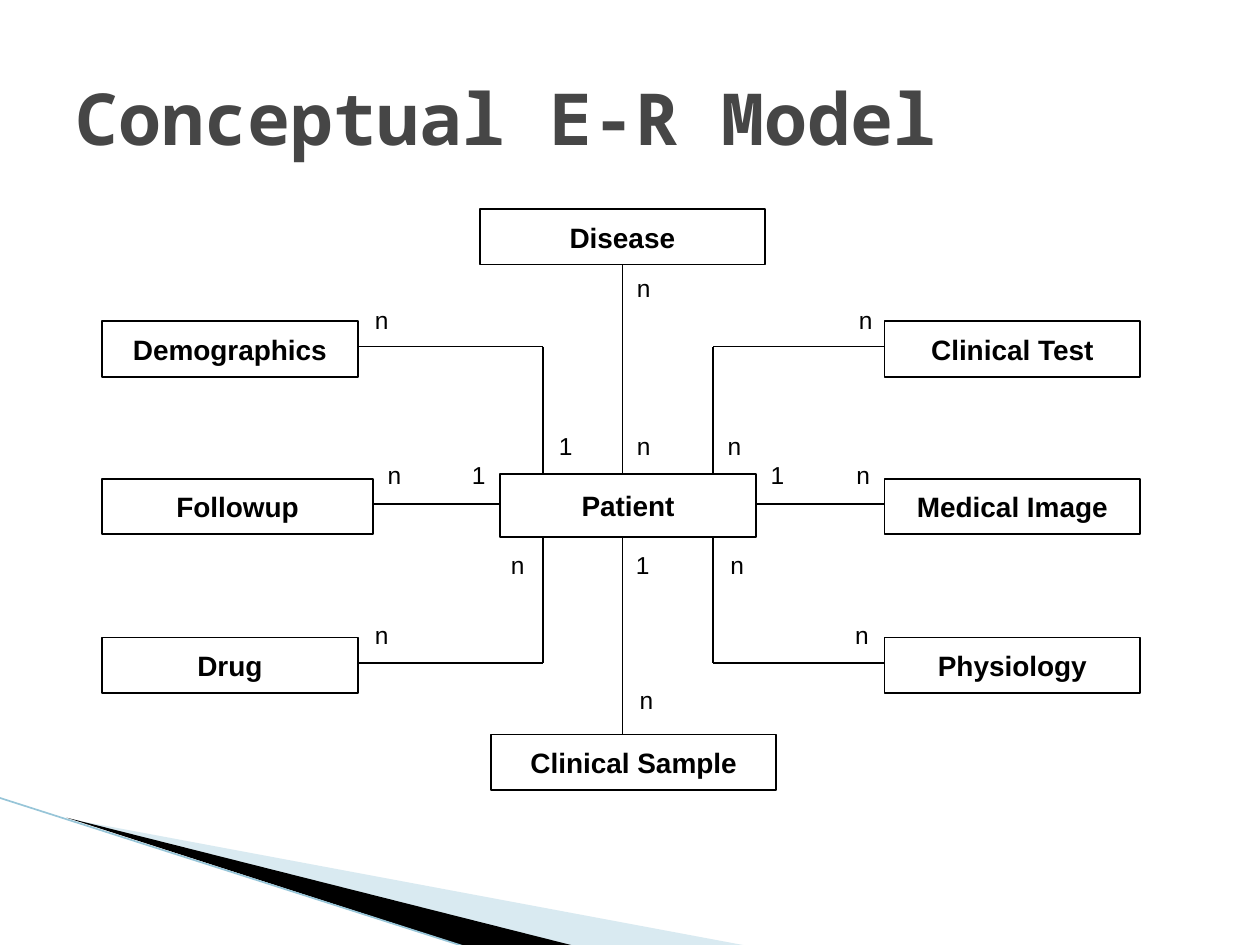
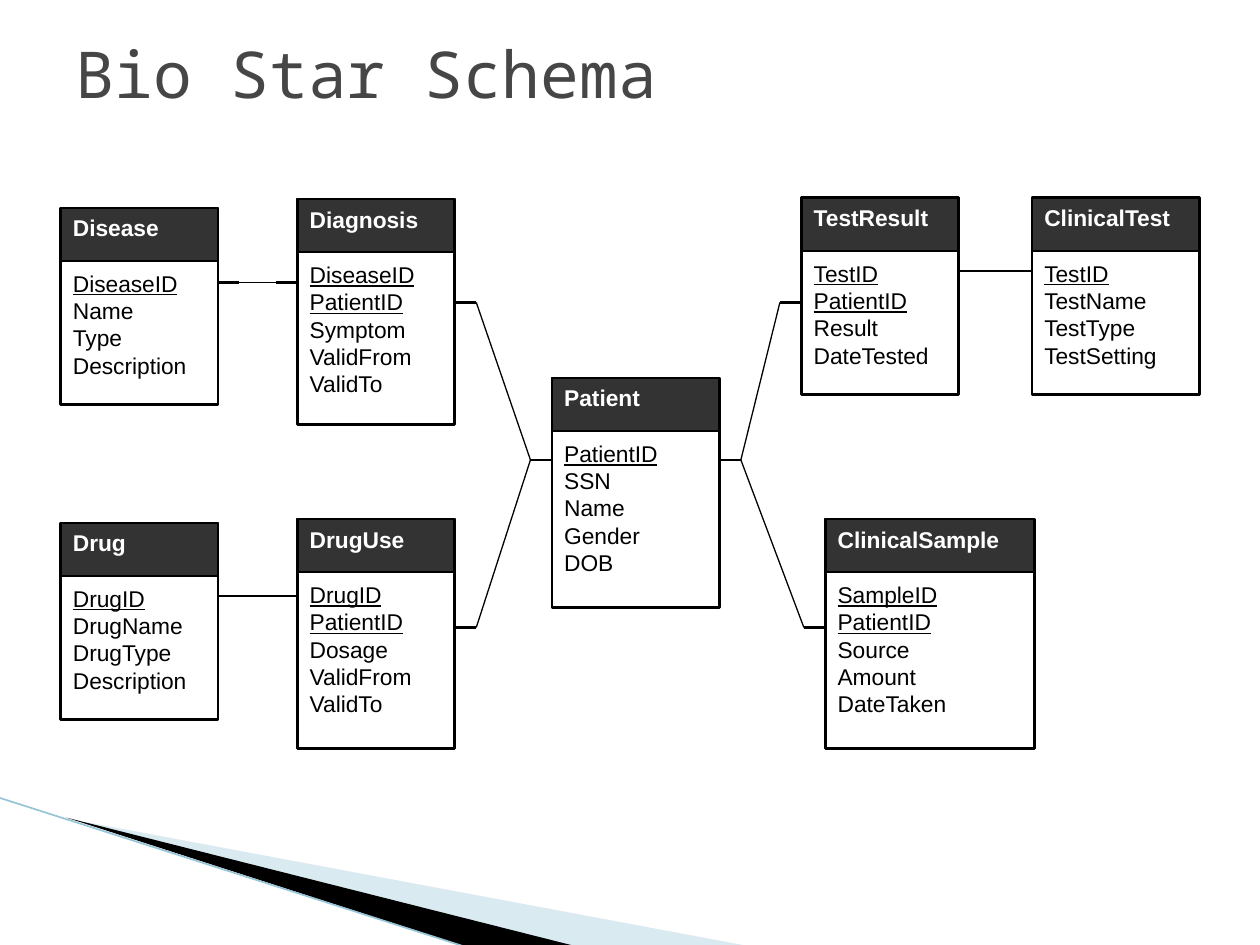
"""Build two slides: a conceptual E-R model and its star schema."""
import pptx
import pptx.dml.color
import pptx.enum.shapes
import pptx.enum.text
import pptx.oxml
import pptx.oxml.ns
import pptx.util

Inches = pptx.util.Inches
Pt = pptx.util.Pt
RGBColor = pptx.dml.color.RGBColor
Anchor = pptx.enum.text.MSO_ANCHOR
Align = pptx.enum.text.PP_ALIGN
RECTANGLE = pptx.enum.shapes.MSO_SHAPE.RECTANGLE
STRAIGHT = pptx.enum.shapes.MSO_CONNECTOR.STRAIGHT

BLACK = RGBColor(0, 0, 0)
WHITE = RGBColor(255, 255, 255)
TITLE_GREY = RGBColor(0x46, 0x46, 0x46)
HEADER_GREY = RGBColor(0x33, 0x33, 0x33)
PALE_BLUE = RGBColor(0xA0, 0xCB, 0xDC)
EDGE_BLUE = RGBColor(0x97, 0xC5, 0xD8)

BODY_FONT = "Arial"
TITLE_FONT = "Noto Sans Mono"
FRAME = {"word_wrap": True, "auto_size": pptx.enum.text.MSO_AUTO_SIZE.NONE}
NO_MARGINS = dict.fromkeys(("margin_left", "margin_top", "margin_right", "margin_bottom"), 0)

WEDGES = [
    (PALE_BLUE, 40, [(0.55, 6.5), (5.95, 7.51), (4.56, 7.51)]),
    (BLACK, 100, [(0.53, 6.49), (4.57, 7.51), (3.72, 7.52)]),
]
WEDGE_EDGE = [(-0.01, 6.33), (3.71, 7.52)]

ER_BOXES = [
    ("Disease", 3.81, 1.66, 2.26, 0.44),
    ("Demographics", 0.81, 2.55, 2.03, 0.44),
    ("Followup", 0.81, 3.8, 2.15, 0.44),
    ("Drug", 0.81, 5.06, 2.03, 0.44),
    ("Patient", 3.97, 3.76, 2.03, 0.5),
    ("Clinical Test", 7.02, 2.55, 2.03, 0.44),
    ("Medical Image", 7.02, 3.8, 2.03, 0.44),
    ("Physiology", 7.02, 5.06, 2.03, 0.44),
    ("Clinical Sample", 3.9, 5.83, 2.26, 0.44),
]
ER_ROUTES = [
    [(4.94, 2.1), (4.94, 5.83)],
    [(2.96, 4), (3.97, 4)],
    [(6, 4), (7.02, 4)],
    [(2.84, 2.75), (4.31, 2.75), (4.31, 3.76)],
    [(2.84, 5.26), (4.31, 5.26), (4.31, 4.26)],
    [(7.02, 2.75), (5.66, 2.75), (5.66, 3.76)],
    [(7.02, 5.26), (5.66, 5.26), (5.66, 4.26)],
]
CARDINALITIES = {
    2.28: [("n", 5.11)],
    2.54: [("n", 3.03), ("n", 6.87)],
    3.54: [("1", 4.49), ("n", 5.11), ("n", 5.83)],
    3.77: [("n", 3.13), ("1", 3.8), ("1", 6.17), ("n", 6.85)],
    4.48: [("n", 4.11), ("1", 5.1), ("n", 5.85)],
    5.04: [("n", 3.03), ("n", 6.84)],
    5.55: [("n", 5.13)],
}

ENTITIES = [
    ("Disease", 0.48, 1.65, 1.25, 1.56, ["DiseaseID"], ["Name", "Type", "Description"]),
    ("Diagnosis", 2.36, 1.58, 1.25, 1.79, ["DiseaseID", "PatientID"],
     ["Symptom", "ValidFrom", "ValidTo"]),
    ("Drug", 0.48, 4.15, 1.25, 1.56, ["DrugID"], ["DrugName", "DrugType", "Description"]),
    ("DrugUse", 2.36, 4.12, 1.25, 1.82, ["DrugID", "PatientID"],
     ["Dosage", "ValidFrom", "ValidTo"]),
    ("Patient", 4.38, 3, 1.33, 1.82, ["PatientID"], ["SSN", "Name", "Gender", "DOB"]),
    ("TestResult", 6.36, 1.57, 1.25, 1.56, ["TestID", "PatientID"], ["Result", "DateTested"]),
    ("ClinicalTest", 8.19, 1.57, 1.33, 1.56, ["TestID"],
     ["TestName", "TestType", "TestSetting"]),
    ("ClinicalSample", 6.55, 4.12, 1.66, 1.82, ["SampleID", "PatientID"],
     ["Source", "Amount", "DateTaken"]),
]
HEADER_HEIGHT = 0.42
STUB = 0.17
SCHEMA_LINKS = [
    ((1.73, 2.24), (2.36, 2.24)),
    ((1.73, 4.73), (2.36, 4.73)),
    ((7.61, 2.15), (8.19, 2.15)),
    ((3.61, 2.4), (4.38, 3.65)),
    ((3.61, 4.98), (4.38, 3.65)),
    ((5.71, 3.65), (6.36, 2.4)),
    ((5.71, 3.65), (6.55, 4.98)),
]


def apply(target, values):
    for name, value in values.items():
        setattr(target, name, value)


def write(para, text, color, size, name=BODY_FONT, **font):
    span = para.add_run()
    span.text = text
    apply(span.font, {"name": name, "size": Pt(size), **font})
    span.font.color.rgb = color


def add_line(page, start, end, width, color=BLACK):
    line = page.shapes.add_connector(STRAIGHT, *map(Inches, start + end))
    line.line.color.rgb = color
    line.line.width = Pt(width)
    properties = line._element.spPr
    properties.append(pptx.oxml.parse_xml(
        f'<a:effectLst {pptx.oxml.ns.nsdecls("a")}/>'))


def add_box(page, left, top, width, height, fill, line_width):
    box = page.shapes.add_shape(RECTANGLE, *map(Inches, (left, top, width, height)))
    box.shadow.inherit = False
    if fill is None:
        box.fill.background()
    else:
        box.fill.solid()
        box.fill.fore_color.rgb = fill
    box.line.color.rgb = BLACK
    box.line.width = Pt(line_width)
    return box


def add_wedge(page, color, opacity, corners):
    points = [tuple(map(Inches, corner)) for corner in corners]
    builder = page.shapes.build_freeform(*points[0])
    builder.add_line_segments(points[1:])
    wedge = builder.convert_to_shape()
    wedge.shadow.inherit = False
    wedge.fill.solid()
    wedge.fill.fore_color.rgb = color
    wedge.line.fill.background()
    if opacity < 100:
        tone = wedge._element.spPr.find(".//" + pptx.oxml.ns.qn("a:srgbClr"))
        tone.append(pptx.oxml.parse_xml(
            f'<a:alpha {pptx.oxml.ns.nsdecls("a")} val="{opacity * 1000}"/>'))


def add_page(deck, title, top, height, size, bold):
    page = deck.slides.add_slide(deck.slide_layouts[5])
    for wedge in WEDGES:
        add_wedge(page, *wedge)
    add_line(page, *WEDGE_EDGE, 0.95, EDGE_BLUE)
    box = page.shapes.title
    apply(box, {"left": Inches(0.5), "top": Inches(top),
                "width": Inches(9), "height": Inches(height)})
    apply(box.text_frame, {**FRAME, "vertical_anchor": Anchor.MIDDLE})
    para = box.text_frame.paragraphs[0]
    para.alignment = Align.LEFT
    write(para, title, TITLE_GREY, size, TITLE_FONT, bold=bold)
    return page


def add_er_box(page, name, *place):
    box = add_box(page, *place, WHITE, 1)
    apply(box.text_frame, {**FRAME, "vertical_anchor": Anchor.MIDDLE})
    para = box.text_frame.paragraphs[0]
    para.alignment = Align.CENTER
    write(para, name, BLACK, 16, bold=True)


def add_cardinality(page, text, center, middle):
    width, height = 0.2, 0.24
    box = page.shapes.add_textbox(*map(Inches, (
        center - width / 2, middle - height / 2, width, height)))
    apply(box.text_frame, {**FRAME, **NO_MARGINS, "vertical_anchor": Anchor.MIDDLE})
    para = box.text_frame.paragraphs[0]
    para.alignment = Align.CENTER
    write(para, text, BLACK, 14)


def add_entity(page, name, left, top, width, height, keys, fields):
    add_box(page, left, top, width, HEADER_HEIGHT, HEADER_GREY, 1)
    frame = add_box(page, left, top, width, height, None, 1.5).text_frame
    apply(frame, {**FRAME, "vertical_anchor": Anchor.TOP})
    heading = frame.paragraphs[0]
    apply(heading, {"alignment": Align.LEFT, "space_after": Pt(16)})
    write(heading, name, WHITE, 13, bold=True)
    for field in keys + fields:
        para = frame.add_paragraph()
        para.alignment = Align.LEFT
        write(para, field, BLACK, 13, underline=field in keys)


def schema_segments():
    segments = {}
    for start, end in SCHEMA_LINKS:
        inner_start = (start[0] + STUB, start[1])
        inner_end = (end[0] - STUB, end[1])
        segments[start, inner_start] = segments[inner_end, end] = 1.5
        segments[inner_start, inner_end] = 0.75
    return segments


def main():
    deck = pptx.Presentation()
    deck.slide_width, deck.slide_height = Inches(10), Inches(7.5)

    model = add_page(deck, "Conceptual E-R Model", 0.3, 1.25, 41, True)
    for route in ER_ROUTES:
        for start, end in zip(route, route[1:]):
            add_line(model, start, end, 1)
    for entity in ER_BOXES:
        add_er_box(model, *entity)
    for middle, labels in CARDINALITIES.items():
        for text, center in labels:
            add_cardinality(model, text, center, middle)

    schema = add_page(deck, "Bio Star Schema", 0.2, 0.75, 36.9, False)
    for entity in ENTITIES:
        add_entity(schema, *entity)
    for (start, end), width in schema_segments().items():
        add_line(schema, start, end, width)

    deck.save("out.pptx")


main()
